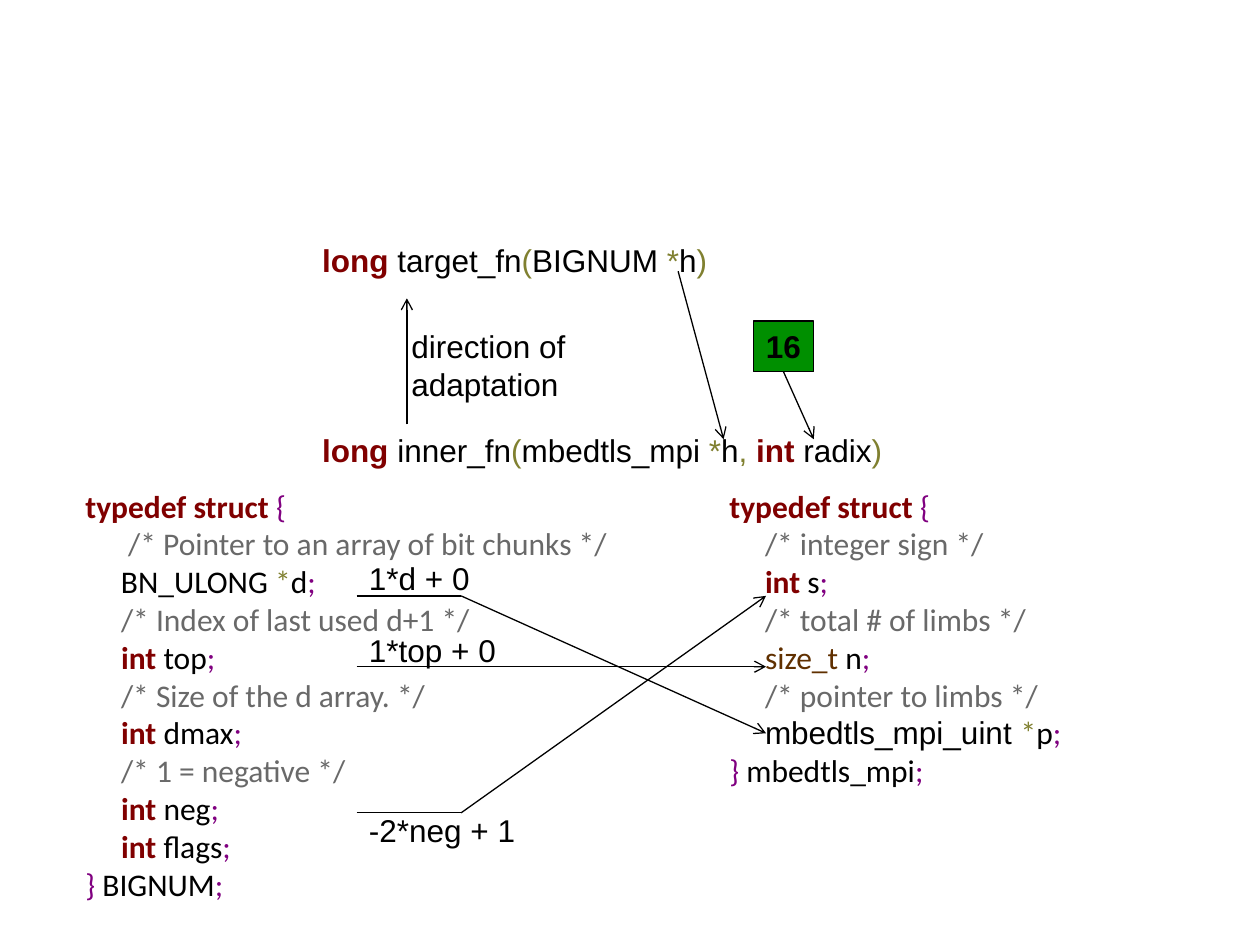
import pptx
import pptx.dml.color
import pptx.enum.shapes
import pptx.enum.text
import pptx.oxml
import pptx.oxml.ns
import pptx.util

Pt = pptx.util.Pt
COLORS = {
    "plain": "000000",
    "keyword": "800000",
    "operator": "808030",
    "brace": "800080",
    "comment": "696969",
    "type": "603000",
    "constant": "008F00",
}
INDENT = ("     ", "plain")
END = (";", "brace")
STRUCT_OPEN = [("typedef struct ", "keyword"), ("{", "brace")]
FRAME_FORMAT = {
    "word_wrap": False,
    "auto_size": pptx.enum.text.MSO_AUTO_SIZE.SHAPE_TO_FIT_TEXT,
    "vertical_anchor": pptx.enum.text.MSO_ANCHOR.TOP,
}


def rgb(role):
    return pptx.dml.color.RGBColor.from_string(COLORS[role])


def apply_format(target, values):
    for attribute, value in values.items():
        setattr(target, attribute, value)


def write_lines(frame, lines, font="Arial", bold=False):
    apply_format(frame, FRAME_FORMAT)
    for index, line in enumerate(lines):
        paragraph = frame.add_paragraph() if index else frame.paragraphs[0]
        paragraph.alignment = pptx.enum.text.PP_ALIGN.LEFT
        for text, role, *own_font in line:
            run = paragraph.add_run()
            run.text = text
            apply_format(run.font, {
                "name": own_font[0] if own_font else font,
                "size": Pt(18),
                "bold": bold or role == "keyword",
            })
            run.font.color.rgb = rgb(role)


def add_code(slide, box, lines, font="Arial"):
    area = slide.shapes.add_textbox(*map(Pt, box))
    write_lines(area.text_frame, lines, font)


def add_label(slide, box, *texts):
    add_code(slide, box, [[(text, "plain")] for text in texts])


def add_constant(slide, box, text):
    constant = slide.shapes.add_shape(
        pptx.enum.shapes.MSO_SHAPE.RECTANGLE, *map(Pt, box))
    constant.shadow.inherit = False
    constant.fill.solid()
    constant.fill.fore_color.rgb = rgb("constant")
    constant.line.color.rgb = rgb("plain")
    constant.line.width = Pt(0.75)
    write_lines(constant.text_frame, [[(text, "plain")]], bold=True)
    return constant


def add_line(slide, start, end, arrow=True):
    line = slide.shapes.add_connector(
        pptx.enum.shapes.MSO_CONNECTOR.STRAIGHT, *map(Pt, start + end))
    line.line.color.rgb = rgb("plain")
    line.line.width = Pt(0.75)
    if arrow:
        outline = line.line._get_or_add_ln()
        tail = pptx.oxml.parse_xml(
            f'<a:tailEnd {pptx.oxml.ns.nsdecls("a")} type="arrow"/>')
        outline.append(tail)
    line._element.spPr.append(
        pptx.oxml.parse_xml(f'<a:effectLst {pptx.oxml.ns.nsdecls("a")}/>'))
    return line


def remark(text):
    return [INDENT, (f"/* {text} */", "comment")]


def member(kind, name, role="keyword"):
    return [INDENT, (f"{kind} ", role), (name, "plain"), END]


def pointer(kind, name, font="Calibri"):
    return [INDENT, (f"{kind} ", "plain", font), ("*", "operator"),
            (name, "plain"), END]


def struct_close(name):
    return [("} ", "brace"), (name, "plain"), END]


def add_signatures(slide):
    add_code(slide, (177, 134, 237, 29), [[
        ("long ", "keyword"), ("target_fn", "plain"), ("(", "operator"),
        ("BIGNUM ", "plain"), ("*", "operator"), ("h", "plain"),
        (")", "operator")]])
    add_code(slide, (177, 242.5, 337.5, 29), [[
        ("long ", "keyword"), ("inner_fn", "plain"), ("(", "operator"),
        ("mbedtls_mpi ", "plain"), ("*", "operator"), ("h", "plain"),
        (", ", "operator"), ("int", "keyword"), (" radix", "plain"),
        (")", "operator")]])
    add_line(slide, (387.5, 155), (413.5, 251))
    add_line(slide, (232.5, 242.5), (232.5, 170.5))
    add_label(slide, (228, 183.5, 104.5, 51), "direction of", "adaptation")
    radix = add_constant(slide, (430.5, 183.5, 34.5, 29), "16")
    add_line(slide, (447.75, 212.5), (465, 251)).begin_connect(radix, 2)


def add_structs(slide):
    add_code(slide, (41.75, 274.5, 326, 247), [
        STRUCT_OPEN,
        [(" ", "plain")] + remark("Pointer to an array of bit chunks"),
        pointer("BN_ULONG", "d"),
        remark("Index of last used d+1"),
        member("int", "top"),
        remark("Size of the d array."),
        member("int", "dmax"),
        remark("1 = negative"),
        member("int", "neg"),
        member("int", "flags"),
        struct_close("BIGNUM"),
    ], "Calibri")
    add_code(slide, (409.75, 274.5, 205, 181.5), [
        STRUCT_OPEN,
        remark("integer sign"),
        member("int", "s"),
        remark("total # of limbs"),
        member("size_t", "n", "type"),
        remark("pointer to limbs"),
        pointer("mbedtls_mpi_uint", "p", "Arial"),
        struct_close("mbedtls_mpi"),
    ], "Calibri")


def add_mappings(slide):
    source_x, bend_x, target_x = 203.75, 263.5, 437.75
    mappings = [
        ("1*d + 0", 340.5, 419, 316, 72.75),
        ("1*top + 0", 381, 381, 357, 87.75),
        ("-2*neg + 1", 464.5, 340.5, 460, 98.75),
    ]
    for formula, source_y, target_y, label_y, label_width in mappings:
        add_line(slide, (source_x, source_y), (bend_x, source_y), arrow=False)
        add_line(slide, (bend_x, source_y), (target_x, target_y))
        add_label(slide, (source_x, label_y, label_width, 29), formula)


def main():
    deck = pptx.Presentation()
    apply_format(deck, {"slide_width": Pt(720), "slide_height": Pt(540)})
    slide = deck.slides.add_slide(deck.slide_layouts[6])
    add_signatures(slide)
    add_structs(slide)
    add_mappings(slide)
    deck.save("out.pptx")


if __name__ == "__main__":
    main()
